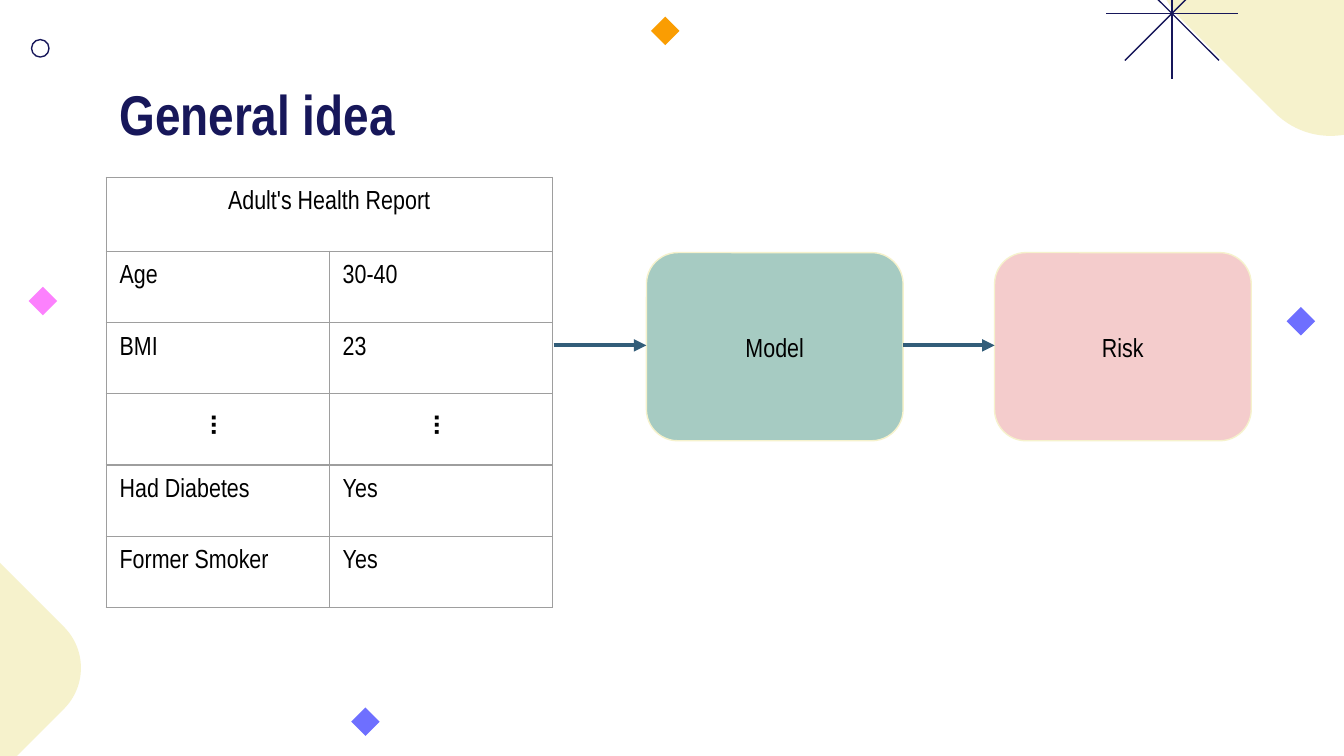
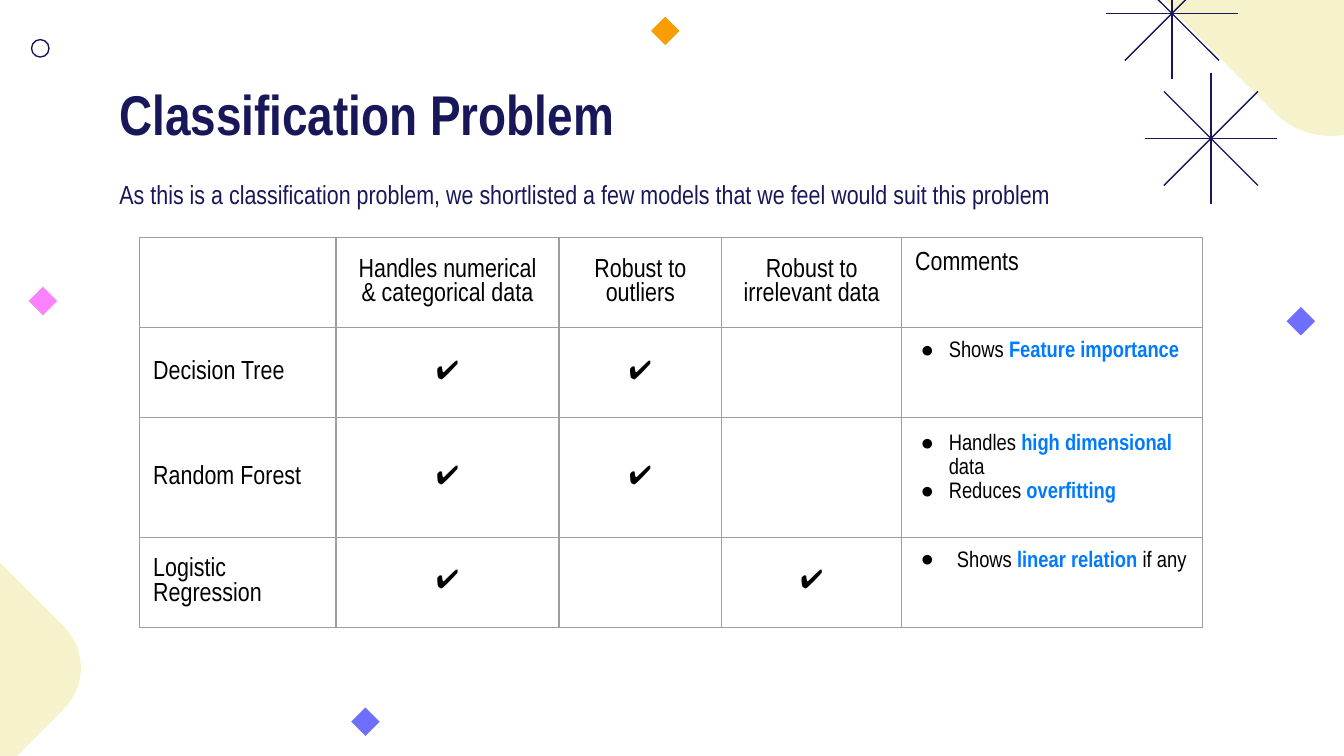
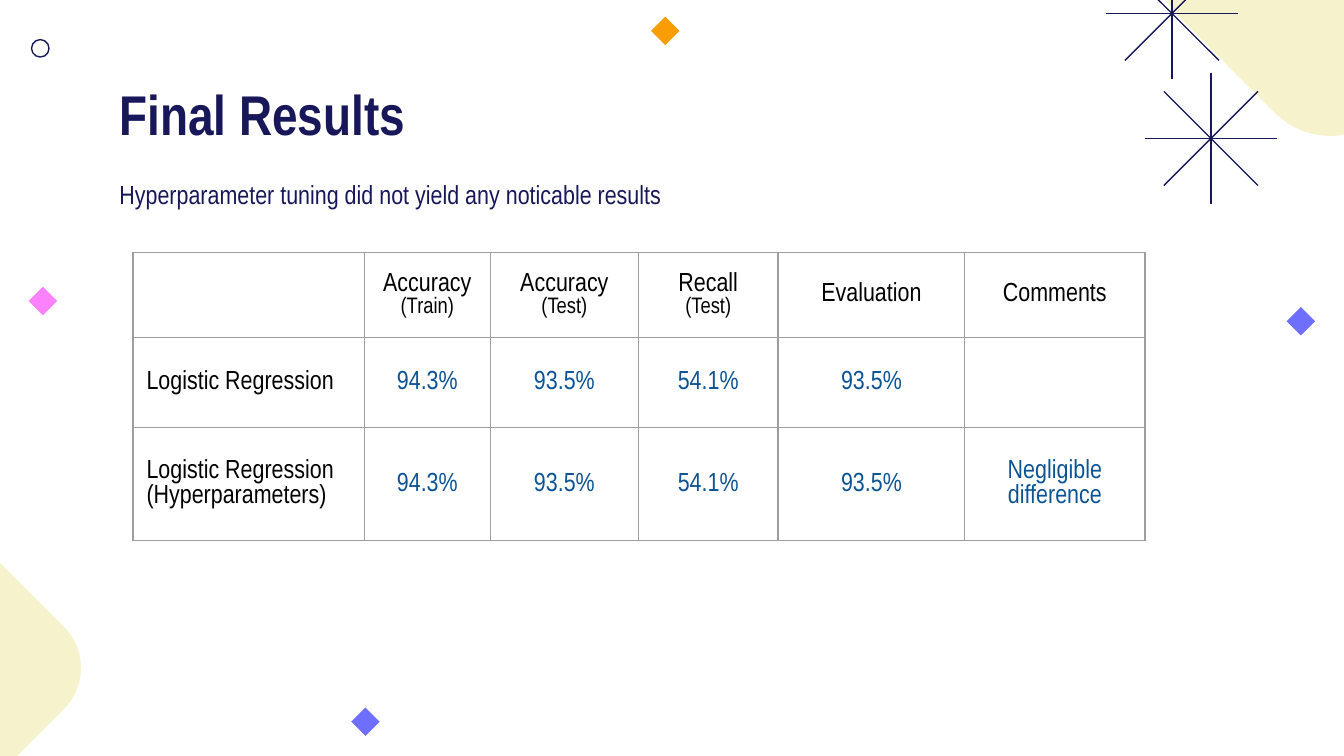
from lxml import etree
from pptx import Presentation
from pptx.dml.color import RGBColor
from pptx.enum.shapes import MSO_CONNECTOR, MSO_SHAPE, MSO_SHAPE_TYPE
from pptx.enum.text import MSO_ANCHOR, PP_ALIGN
from pptx.oxml import parse_xml
from pptx.oxml.ns import qn
from pptx.util import Inches, Pt

LINE = MSO_CONNECTOR.STRAIGHT
LINE_TYPE = MSO_SHAPE_TYPE.LINE
ROUND, RECT, OVAL = MSO_SHAPE.ROUNDED_RECTANGLE, MSO_SHAPE.RECTANGLE, MSO_SHAPE.OVAL
CENTER, MIDDLE, TOP = PP_ALIGN.CENTER, MSO_ANCHOR.MIDDLE, MSO_ANCHOR.TOP
FONT = "Arial Narrow"
NAVY, CREAM, BLACK, GREY = "17175A", "F6F2CC", "000000", "9E9E9E"
STEEL, BRIGHT, BLUE = "325D79", "007BFF", "0B5394"
NS = 'xmlns:a="http://schemas.openxmlformats.org/drawingml/2006/main"'
rgb = RGBColor.from_string


def style(par, size=14, color=BLACK, bold=False):
    for run in par.runs:
        font = run.font
        font.name, font.size, font.bold = FONT, Pt(size), bold
        font.color.rgb = rgb(color)


def grid(slide, left, top, cols, rows, data):
    side = Inches(3.28)
    frame = slide.shapes.add_table(len(rows), len(cols), Inches(left), Inches(top), side, side)
    table = frame.table
    table.first_row = table.horz_banding = False
    for col, width in zip(table.columns, cols):
        col.width = Inches(width)
    for row, height, texts in zip(table.rows, rows, data):
        row.height = Inches(height)
        for cell, text in zip(row.cells, texts):
            cell.margin_left = cell.margin_right = Inches(0.1)
            cell.margin_top = cell.margin_bottom = Inches(0.1)
            cell.vertical_anchor = MIDDLE
            props = cell._tc.get_or_add_tcPr()
            for edge in "LRTB":
                props.append(parse_xml(
                    f'<a:ln{edge} {NS} w="9525"><a:solidFill><a:srgbClr val="{GREY}"/>'
                    f'</a:solidFill></a:ln{edge}>'))
            cell.fill.background()
            cell.text_frame.text = text
            for par in cell.text_frame.paragraphs:
                style(par)
    # Rows keep their own heights inside a square frame
    frame.width = frame.height = side
    return table


prs = Presentation()
prs.slide_width, prs.slide_height = Inches(10), Inches(10 * 9 / 16)

# Shared decoration, titles and subtitles
pages = [
    ("General idea", ""),
    ("Classification Problem", "As this is a classification problem, we shortlisted "
     "a few models that we feel would suit this problem"),
    ("Final Results", "Hyperparameter tuning did not yield any noticable results"),
]
# kind, centre x, centre y, side, turn, fill
decor = [
    (ROUND, 9.9, -0.28, 2.17, 45, CREAM),
    (ROUND, -0.35, 4.97, 1.6, 45, CREAM),
    (RECT, 0.32, 2.24, 0.15, 315, "FC81FD"),
    (RECT, 2.72, 5.37, 0.15, 315, "6E6FFF"),
    (RECT, 4.95, 0.23, 0.15, 315, "FA9D02"),
    (RECT, 9.68, 2.39, 0.15, 315, "6E6FFF"),
    (OVAL, 0.3, 0.36, 0.13, 0, None),
]
rays = [(0, 0.49), (0.49, 0), (0.35, 0.35), (0.35, -0.35)]
slides = []
for title, sub in pages:
    slide = prs.slides.add_slide(prs.slide_layouts[6])
    slides.append(slide)
    for kind, x, y, side, turn, fill in decor:
        shape = slide.shapes.add_shape(kind, Inches(x - side / 2), Inches(y - side / 2),
                                       Inches(side), Inches(side))
        shape.shadow.inherit = False
        shape.rotation = turn
        if kind == ROUND:
            shape.adjustments[0] = 0.27
        if fill:
            shape.fill.solid()
            shape.fill.fore_color.rgb = rgb(fill)
            shape.line.fill.background()
        else:
            shape.fill.background()
            shape.line.color.rgb = rgb(NAVY)
            shape.line.width = Pt(0.75)

    stars = [(8.72, 0.1), (9.01, 1.03)] if sub else [(8.72, 0.1)]
    for x, y in stars:
        for dx, dy in rays:
            ray = slide.shapes.add_connector(LINE, Inches(x - dx), Inches(y - dy),
                                             Inches(x + dx), Inches(y + dy))
            ray.line.color.rgb = rgb(NAVY)
            ray.line.width = Pt(0.75)

    heads = [(sub, 1.19, 0.46, 14, False, 1.15), (title, 0.49, 0.63, 30, True, 1.0)]
    for text, top, height, size, bold, gap in heads:
        if text:
            box = slide.shapes.add_textbox(Inches(0.79), Inches(top),
                                           Inches(8.43), Inches(height))
            frame = box.text_frame
            frame.word_wrap = True
            frame.margin_left = frame.margin_right = Inches(0.1)
            frame.margin_top = frame.margin_bottom = Inches(0.1)
            frame.text = text
            frame.paragraphs[0].line_spacing = gap
            style(frame.paragraphs[0], size, NAVY, bold)

idea, models, results = slides

# General idea: health report
report = grid(idea, 0.79, 1.32, [1.66] * 2, [0.55] + [0.53] * 5, [
    ["Adult's Health Report", ""],
    ["Age", "30-40"],
    ["BMI", "23"],
    ["⠇", "⠇"],
    ["Had Diabetes", "Yes"],
    ["Former Smoker", "Yes"],
])
for cell in report.iter_cells():
    if cell.text == "⠇":
        cell.text_frame.paragraphs[0].alignment = CENTER
    else:
        cell.vertical_anchor = TOP
report.cell(0, 0).merge(report.cell(0, 1))
report.cell(0, 0).text_frame.paragraphs[0].alignment = CENTER

# General idea: flow from report to risk
for text, left, fill, start in [("Model", 4.81, "A6CBC2", 4.12), ("Risk", 7.4, "F4CCCC", 6.72)]:
    card = idea.shapes.add_shape(ROUND, Inches(left), Inches(1.88), Inches(1.91), Inches(1.4))
    card.shadow.inherit = False
    card.fill.solid()
    card.fill.fore_color.rgb = rgb(fill)
    card.line.color.rgb = rgb(CREAM)
    card.line.width = Pt(0.75)
    card.text_frame.text = text
    card.text_frame.vertical_anchor = MIDDLE
    card.text_frame.paragraphs[0].alignment = CENTER
    style(card.text_frame.paragraphs[0])
    arrow = idea.shapes.add_connector(LINE, Inches(start), Inches(2.57),
                                      Inches(left), Inches(2.57))
    arrow.line.color.rgb = rgb(STEEL)
    arrow.line.width = Pt(2.25)
    etree.SubElement(arrow.line._get_or_add_ln(), qn("a:tailEnd"), type="triangle")

# Classification problem: model comparison
chart = grid(models, 1.04, 1.77, [1.46, 1.66, 1.21, 1.34, 2.24], [0.42, 0.67, 0.84, 0.67], [
    ["", "Handles numerical & categorical data", "Robust to outliers",
     "Robust to irrelevant data", "Comments"],
    ["Decision Tree", "✔", "✔", "", ""],
    ["Random Forest", "✔", "✔", "", ""],
    ["Logistic Regression", "✔", "", "✔", ""],
])
for row in chart.rows:
    for cell in list(row.cells)[1:4]:
        cell.text_frame.paragraphs[0].alignment = CENTER
    row.cells[4].vertical_anchor = TOP

# Comments: plain, highlighted and plain text of each bullet
notes = [
    (0.25, -0.21, 1.0, [("Shows ", "Feature importance", "")]),
    (0.25, -0.21, 1.15, [("Handles ", "high dimensional", " data"),
                         ("Reduces ", "overfitting", "")]),
    (0.31, -0.27, 1.0, [("Shows ", "linear relation", " if any")]),
]
for num, (left, hang, gap, items) in enumerate(notes, 1):
    frame = chart.cell(num, 4).text_frame
    frame.text = "\n".join(item[0] for item in items)
    for par, (_, strong, tail) in zip(frame.paragraphs, items):
        par.line_spacing = gap
        props = par._p.get_or_add_pPr()
        props.set("marL", str(Inches(left)))
        props.set("indent", str(Inches(hang)))
        tint = etree.SubElement(props, qn("a:buClr"))
        etree.SubElement(tint, qn("a:srgbClr"), val=BLACK)
        etree.SubElement(props, qn("a:buFont"), typeface=FONT)
        etree.SubElement(props, qn("a:buChar"), char="●")
        for text in filter(None, (strong, tail)):
            par.add_run().text = text
        style(par, 12)
        par.runs[1].font.bold = True
        par.runs[1].font.color.rgb = rgb(BRIGHT)

# Final results: scores
scores = ["94.3%", "93.5%", "54.1%", "93.5%"]
board = grid(results, 0.99, 1.88, [1.72, 0.94, 1.1, 1.04, 1.39, 1.34], [0.42, 0.67, 0.84], [
    ["", "Accuracy ", "Accuracy\n(Test)", "Recall\n(Test)", "Evaluation", "Comments"],
    ["Logistic Regression", *scores, ""],
    ["Logistic Regression (Hyperparameters)", *scores, "Negligible difference"],
])
for num, row in enumerate(board.rows):
    for cell in list(row.cells)[1:]:
        for part, par in enumerate(cell.text_frame.paragraphs):
            par.alignment = CENTER
            style(par, 12 if part else 14, BLUE if num else BLACK)
train = board.cell(0, 1).text_frame.paragraphs[0]
train.add_run().text = "(Train)"
style(train)
train.runs[1].font.size = Pt(12)

# Lines cast no shadow
for slide in slides:
    for shape in slide.shapes:
        if shape.shape_type == LINE_TYPE:
            etree.SubElement(shape._element.spPr, qn("a:effectLst"))

prs.save("out.pptx")
